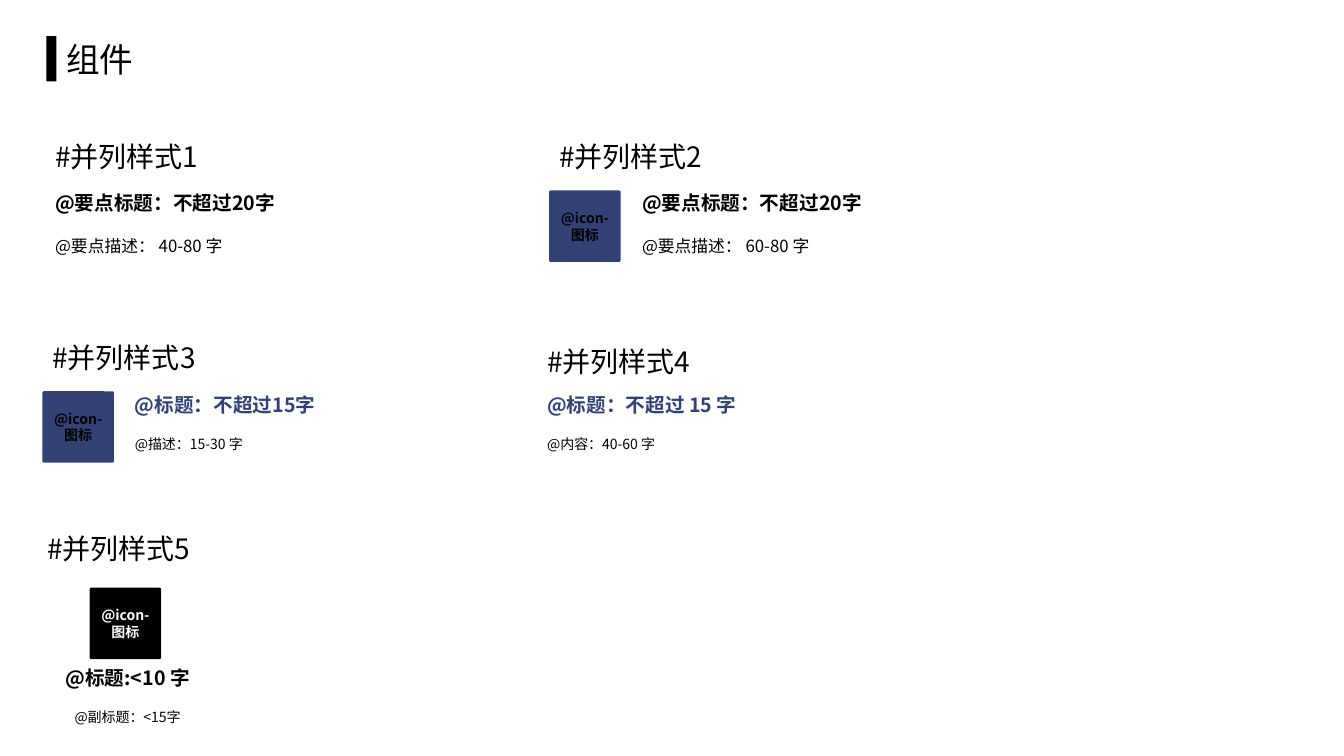
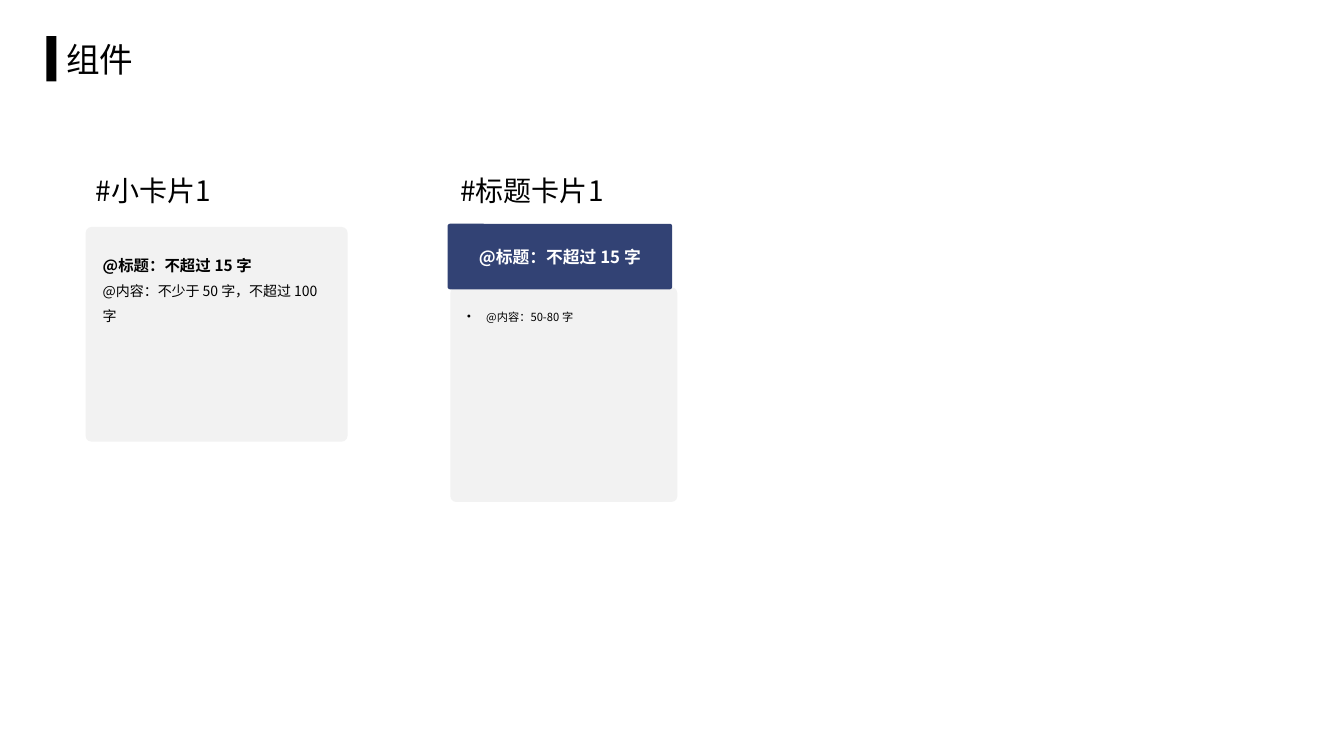
from dataclasses import dataclass
from typing import Optional

from lxml import etree
from pptx import Presentation
from pptx import util as u
from pptx.dml.color import RGBColor
from pptx.enum import shapes, text
from pptx.oxml import ns


@dataclass(frozen=True)
class Theme:
    font: str = "Noto Sans CJK SC"
    black: str = "000000"
    white: str = "FFFFFF"
    navy: str = "324274"
    grey: str = "F2F2F2"
    page_title: float = 24
    heading: float = 20
    point: float = 14
    body: float = 12
    card_title: float = 11
    small: float = 10
    tiny: float = 8
    line_spacing: float = 1.5
    corner: float = 0.04  # corner radius in cm


THEME = Theme()
ICON_SIZE = 1.8
POINT_HEIGHT = 0.91


@dataclass(frozen=True)
class Area:
    """Position and size in centimetres."""
    left: float
    top: float
    width: float
    height: float

    def lengths(self) -> tuple:
        return tuple(u.Cm(n) for n in (self.left, self.top, self.width, self.height))


@dataclass(frozen=True)
class Style:
    size: float
    color: str = THEME.black
    bold: bool = False
    centred: bool = False
    middle: bool = False
    spacing: Optional[float] = None
    grows: bool = False


@dataclass(frozen=True)
class Icon:
    left: float
    top: float
    fill: str = THEME.navy
    color: str = THEME.black


@dataclass(frozen=True)
class Parallel:
    """A heading over a point title and its description, with an optional icon."""
    heading: str
    heading_at: tuple[float, float]
    title: str
    description: str
    area: Area  # its height is that of the description
    title_color: str = THEME.black
    description_size: float = THEME.small
    centred: bool = False
    icon: Optional[Icon] = None


PARALLELS = (
    Parallel("#并列样式1", (1.14, 3.38), "@要点标题：不超过20字", "@要点描述： 40-80 字",
             Area(1.14, 4.65, 15.9, 2.46), description_size=THEME.body),
    Parallel("#并列样式2", (13.84, 3.38), "@要点标题：不超过20字", "@要点描述： 60-80 字",
             Area(15.93, 4.65, 14.55, 2.46), description_size=THEME.body,
             icon=Icon(13.84, 4.8)),
    Parallel("#并列样式3", (1.07, 8.46), "@标题：不超过15字", "@描述：15-30 字",
             Area(3.15, 9.73, 8.33, 1.35), THEME.navy, icon=Icon(1.07, 9.86)),
    Parallel("#并列样式4", (13.54, 8.56), "@标题：不超过 15 字", "@内容：40-60 字",
             Area(13.54, 9.73, 7.8, 2), THEME.navy),
    Parallel("#并列样式5", (0.94, 13.26), "@标题:<10 字", "@副标题：<15字",
             Area(0.94, 16.61, 4.55, 1.35), centred=True,
             icon=Icon(2.26, 14.81, THEME.black, THEME.white)),
)


def write(shape, words: str, style: Style) -> None:
    frame = shape.text_frame
    frame.word_wrap = True
    frame.text = words
    frame.vertical_anchor = text.MSO_ANCHOR.MIDDLE if style.middle else text.MSO_ANCHOR.TOP
    if style.grows:
        frame.auto_size = text.MSO_AUTO_SIZE.SHAPE_TO_FIT_TEXT
    para = frame.paragraphs[0]
    para.alignment = text.PP_ALIGN.CENTER if style.centred else text.PP_ALIGN.LEFT
    if style.spacing:
        para.line_spacing = style.spacing
    for span in para.runs:
        span.font.size = u.Pt(style.size)
        span.font.bold = style.bold
        span.font.color.rgb = RGBColor.from_string(style.color)
        span.font.name = THEME.font
        east_asian = etree.SubElement(span.font._element, ns.qn("a:ea"))
        east_asian.set("typeface", THEME.font)


def add_text(page, area: Area, words: str, style: Style):
    box = page.shapes.add_textbox(*area.lengths())
    write(box, words, style)
    return box


def add_panel(page, area: Area, fill: str, corner: float = 0):
    """Add a plain filled rectangle, rounded by a radius in centimetres."""
    kind = shapes.MSO_SHAPE.ROUNDED_RECTANGLE if corner else shapes.MSO_SHAPE.RECTANGLE
    panel = page.shapes.add_shape(kind, *area.lengths())
    if corner:
        panel.adjustments[0] = corner / min(area.width, area.height)
    panel.shadow.inherit = False
    panel.fill.solid()
    panel.fill.fore_color.rgb = RGBColor.from_string(fill)
    panel.line.fill.background()
    return panel


def add_heading(page, left: float, top: float, words: str) -> None:
    add_text(page, Area(left, top, 7.82, 1.12), words, Style(THEME.heading, grows=True))


def add_bullet(para, indent: float) -> None:
    props = para._p.get_or_add_pPr()
    props.set("marL", str(u.Cm(indent)))
    props.set("indent", str(-u.Cm(indent)))
    etree.SubElement(props, ns.qn("a:buChar")).set("char", "•")


def add_page(deck, title: str):
    page = deck.slides.add_slide(deck.slide_layouts[6])
    add_panel(page, Area(1.17, 0.91, 0.25, 1.14), THEME.black)
    add_text(page, Area(1.42, 0.71, 31.04, 1.55), title, Style(THEME.page_title, middle=True))
    return page


def add_parallel(page, item: Parallel) -> None:
    area = item.area
    add_heading(page, *item.heading_at, item.heading)
    add_text(page, Area(area.left, area.top, area.width, POINT_HEIGHT), item.title,
             Style(THEME.point, item.title_color, bold=True, centred=item.centred, middle=True))
    add_text(page, Area(area.left, area.top + POINT_HEIGHT, area.width, area.height),
             item.description,
             Style(item.description_size, centred=item.centred, spacing=THEME.line_spacing))
    if item.icon:
        icon = item.icon
        tile = add_panel(page, Area(icon.left, icon.top, ICON_SIZE, ICON_SIZE),
                         icon.fill, THEME.corner)
        write(tile, "@icon-图标",
              Style(THEME.small, icon.color, bold=True, centred=True, middle=True))


def add_small_card(page) -> None:
    add_heading(page, 2.16, 4.24, "#小卡片1")
    add_panel(page, Area(2.16, 5.72, 6.6, 5.41), THEME.grey, 0.15)
    add_text(page, Area(2.34, 6.78, 6.07, 3.81), "@内容：不少于 50 字，不超过 100 字",
             Style(THEME.small, spacing=THEME.line_spacing))
    add_text(page, Area(2.34, 6.1, 6.32, 0.97), "@标题：不超过 15 字",
             Style(THEME.card_title, bold=True, spacing=THEME.line_spacing, grows=True))


def add_title_card(page) -> None:
    add_heading(page, 11.35, 4.24, "#标题卡片1")
    card = add_panel(page, Area(11.35, 7.24, 5.72, 5.41), THEME.grey, 0.15)
    write(card, "@内容：50-80 字", Style(THEME.tiny, spacing=THEME.line_spacing))
    frame = card.text_frame
    frame.margin_left = frame.margin_top = frame.margin_right = frame.margin_bottom = u.Cm(0.38)
    add_bullet(frame.paragraphs[0], 0.48)
    band = add_panel(page, Area(11.28, 5.64, 5.66, 1.65), THEME.navy, 0.06)
    write(band, "@标题：不超过 15 字",
          Style(THEME.body, THEME.white, bold=True, centred=True, middle=True))


def main() -> None:
    deck = Presentation()
    deck.slide_width, deck.slide_height = u.Cm(33.87), u.Cm(19.05)

    page = add_page(deck, "组件")
    for item in PARALLELS:
        add_parallel(page, item)

    page = add_page(deck, "组件")
    add_small_card(page)
    add_title_card(page)
    deck.save("out.pptx")


if __name__ == "__main__":
    main()
